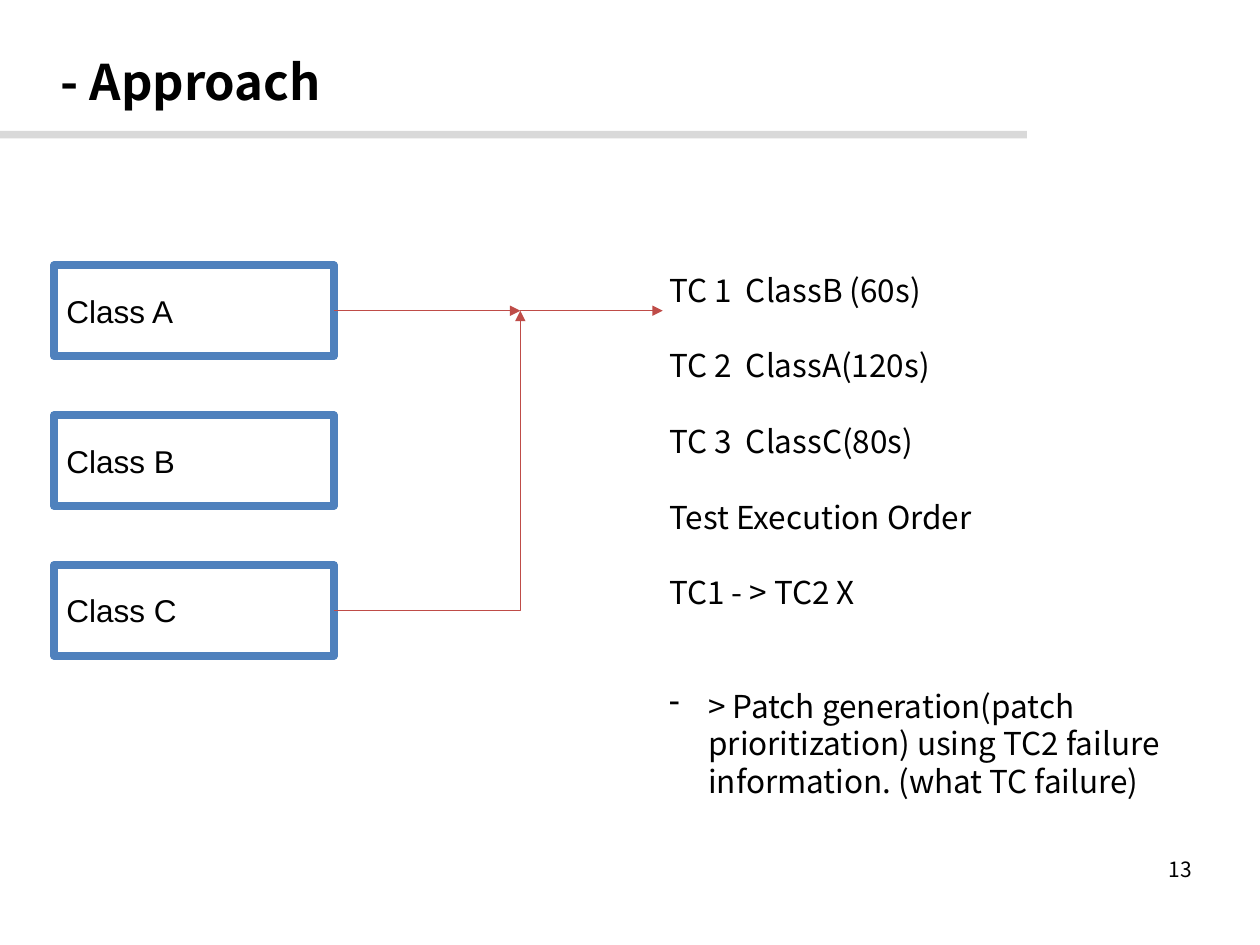
from lxml import etree
from pptx import Presentation
from pptx.dml.color import RGBColor
from pptx.enum import shapes, text
from pptx.oxml import ns
from pptx.util import Cm, Pt

TITLE = "- Approach"
PAGE = "13"
CLASSES = ["Class A", "Class B", "Class C"]
STEPS = [
    ("TC 1  ClassB (60s)", 0),
    ("TC 2  ClassA(120s)", 1),
    ("TC 3  ClassC(80s)", 1),
    ("Test Execution Order", 1),
    ("TC1 - > TC2 X", 1),
]
RESULT = ("> Patch generation(patch prioritization) using TC2 failure "
          "information. (what TC failure)", 2)

COLORS = {"ink": "000000", "rule": "D9D9D9", "box": "4F81BD", "arrow": "BF4C48"}
BODY, LABEL = "Noto Sans CJK KR", "Arial"
LINE = 21.6
INSET = Cm(0.13)
LEFT, TOP, WIDTH, HEIGHT, PITCH = Cm(1.09), Cm(5.35), Cm(5.64), Cm(1.83), Cm(3.02)
JOIN_X, STEPS_X = Cm(10.49), Cm(13.36)


def rgb(name):
    return RGBColor.from_string(COLORS[name])


def write(paragraph, words, size=18, font=BODY, bold=False,
          align=text.PP_ALIGN.LEFT, line=None, before=0, bullet=None):
    paragraph.text = words
    paragraph.alignment = align
    if line:
        paragraph.line_spacing = Pt(line)
    paragraph.space_before = Pt(before)
    if bullet:
        props = paragraph._p.get_or_add_pPr()
        props.set("marL", str(Cm(0.79)))
        props.set("indent", str(-Cm(0.79)))
        etree.SubElement(props, ns.qn("a:buChar")).set("char", bullet)
    paragraph.font.size = Pt(size)
    paragraph.font.name = font
    paragraph.font.bold = bold
    paragraph.font.color.rgb = rgb("ink")


def prepare(frame, anchor, inset=INSET):
    frame.word_wrap = True
    frame.auto_size = text.MSO_AUTO_SIZE.NONE
    frame.vertical_anchor = anchor
    frame.margin_left = frame.margin_right = inset
    frame.margin_top = frame.margin_bottom = INSET
    return frame


def add_arrow(slide, kind, start, end):
    arrow = slide.shapes.add_connector(kind, *start, *end)
    arrow.line.color.rgb = rgb("arrow")
    arrow.line.width = Pt(0.75)
    etree.SubElement(arrow.line._get_or_add_ln(), ns.qn("a:tailEnd")).set("type", "triangle")
    etree.SubElement(arrow._element.spPr, ns.qn("a:effectLst"))
    return arrow


def add_class(slide, name, top):
    box = slide.shapes.add_shape(shapes.MSO_SHAPE.RECTANGLE, LEFT, top, WIDTH, HEIGHT)
    box.shadow.inherit = False
    box.fill.background()
    box.line.color.rgb = rgb("box")
    box.line.width = Pt(4.5)
    frame = prepare(box.text_frame, text.MSO_ANCHOR.MIDDLE, Cm(0.25))
    write(frame.paragraphs[0], name, font=LABEL)
    return box


def main():
    deck = Presentation()
    deck.slide_width, deck.slide_height = Cm(25.4), Cm(19.05)
    slide = deck.slides.add_slide(deck.slide_layouts[5])

    rule = slide.shapes.add_shape(shapes.MSO_SHAPE.RECTANGLE, 0, Cm(2.64), Cm(20.7), Cm(0.15))
    rule.shadow.inherit = False
    rule.fill.solid()
    rule.fill.fore_color.rgb = rgb("rule")
    rule.line.fill.background()

    title = slide.shapes.title
    title.left, title.top, title.width, title.height = LEFT, 0, Cm(22.43), Cm(3.25)
    write(prepare(title.text_frame, text.MSO_ANCHOR.MIDDLE).paragraphs[0], TITLE,
          size=28, bold=True)

    page = slide.shapes.add_textbox(Cm(18.24), Cm(17.15), Cm(5.92), Cm(0.76))
    write(prepare(page.text_frame, text.MSO_ANCHOR.MIDDLE).paragraphs[0], PAGE,
          size=12, align=text.PP_ALIGN.RIGHT)

    boxes = [add_class(slide, name, TOP + row * PITCH) for row, name in enumerate(CLASSES)]
    first_y, last_y = (box.top + HEIGHT // 2 for box in (boxes[0], boxes[-1]))
    side, join = LEFT + WIDTH, (JOIN_X, first_y)

    straight = shapes.MSO_CONNECTOR.STRAIGHT
    add_arrow(slide, straight, (side, first_y), join).begin_connect(boxes[0], 3)
    add_arrow(slide, straight, join, (STEPS_X, first_y))
    bend = add_arrow(slide, shapes.MSO_CONNECTOR.ELBOW, (side, last_y), join)
    bend._element.spPr.find(ns.qn("a:prstGeom")).set("prst", "bentConnector2")

    steps = slide.shapes.add_textbox(STEPS_X, Cm(5.33), Cm(11), Cm(11.02))
    frame = prepare(steps.text_frame, text.MSO_ANCHOR.TOP)
    for row, (words, gap) in enumerate(STEPS + [RESULT]):
        paragraph = frame.add_paragraph() if row else frame.paragraphs[0]
        write(paragraph, words, line=LINE, before=gap * LINE,
              bullet="-" if row == len(STEPS) else None)

    deck.save("out.pptx")


if __name__ == "__main__":
    main()
